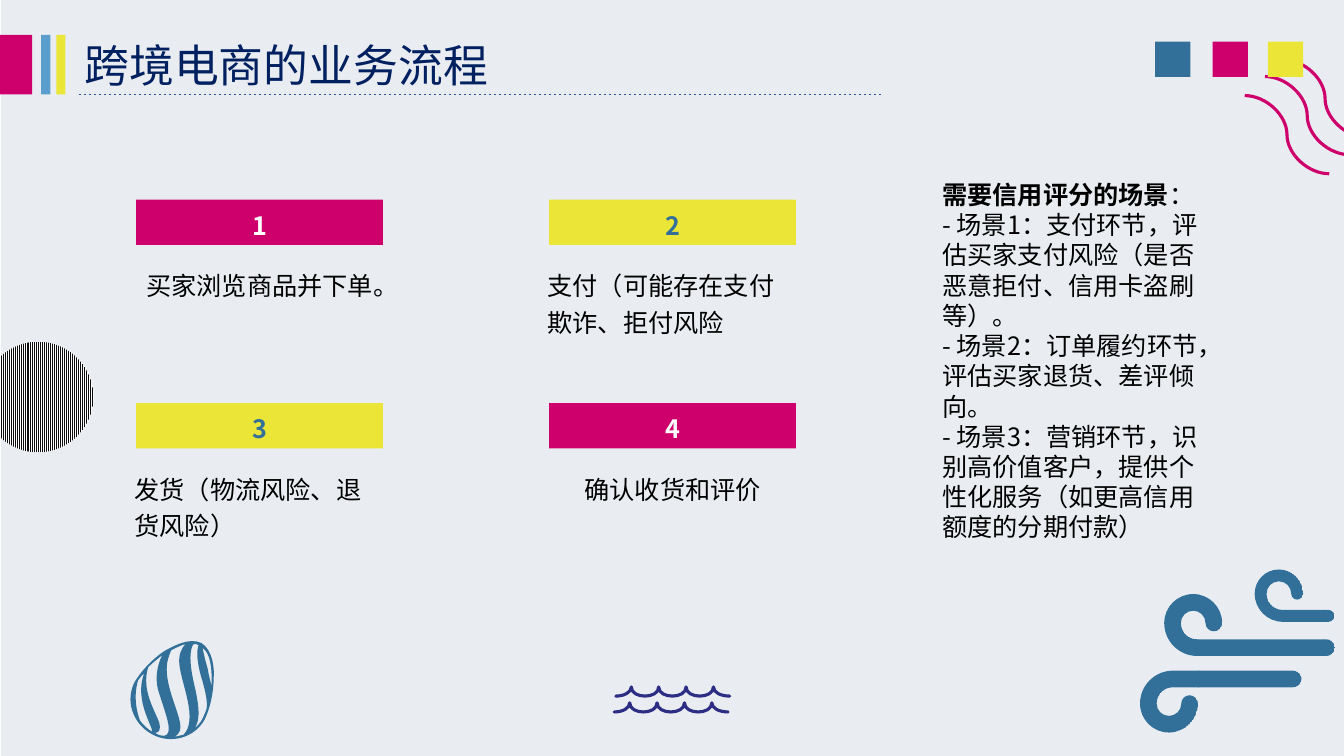
from dataclasses import dataclass
from math import cos, radians, sin, tan

from lxml import etree
from pptx import Presentation
from pptx.dml.color import RGBColor
from pptx.enum.dml import MSO_LINE, MSO_PATTERN
from pptx.enum.shapes import MSO_CONNECTOR, MSO_SHAPE
from pptx.enum.text import MSO_ANCHOR, MSO_AUTO_SIZE, PP_ALIGN
from pptx.oxml.ns import qn
from pptx.util import Cm, Pt

RECT, OVAL = MSO_SHAPE.RECTANGLE, MSO_SHAPE.OVAL
LINE, CURVE = MSO_CONNECTOR.STRAIGHT, MSO_CONNECTOR.CURVE
DARK, LIGHT = MSO_PATTERN.DARK_VERTICAL, MSO_PATTERN.LIGHT_VERTICAL
LEFT, MID = PP_ALIGN.LEFT, PP_ALIGN.CENTER
DASH = MSO_LINE.DASH


@dataclass(frozen=True)
class Theme:
    paper: str = "E9EDF2"
    white: str = "FFFFFF"
    black: str = "000000"
    ink: str = "0D0D0D"
    navy: str = "002060"
    rule: str = "2F5597"
    pink: str = "CE006C"
    sky: str = "599ECD"
    lime: str = "EAE536"
    teal: str = "32709A"
    wave: str = "2D2D83"
    font: str = "Noto Sans CJK JP"
    digit: str = "Noto Sans CJK SC"
    head: int = 32
    body: int = 18
    tight: float = 21.6
    loose: float = 25.8


T = Theme()

STEPS = [
    ("1", "买家浏览商品并下单。", T.pink, T.white, MID, 1.09),
    ("2", "支付（可能存在支付欺诈、拒付风险", T.lime, T.teal, LEFT, 2.03),
    ("3", "发货（物流风险、退货风险）", T.lime, T.teal, LEFT, 2.03),
    ("4", "确认收货和评价", T.pink, T.white, MID, 1.09),
]
SCENES = [
    [("需要信用评分的场景", True), ("：", False)],
    [("- 场景1：支付环节，评估买家支付风险（是否恶意拒付、信用卡盗刷等）。", False)],
    [("- 场景2：订单履约环节，评估买家退货、差评倾向。", False)],
    [("- 场景3：营销环节，识别高价值客户，提供个性化服务（如更高信用额度的分期付款）", False)],
]
SHELL = [
    [(100, 38), (88, 32), (72, 41), (63, 46), (51, 54), (40, 66), (34, 76),
     (24, 94), (31, 117), (50, 128), (69, 139), (93, 132), (103, 114),
     (108, 104), (112, 88), (112, 73), (113, 63), (111, 45), (100, 38)],
    [(39, 115), (36, 107), (32, 92), (37, 75), (39, 73), (40, 70), (43, 68),
     (33, 95), (52, 121), (51, 126), (46, 123), (42, 119), (39, 115)],
    [(63, 130), (60, 130), (56, 129), (54, 127), (57, 127), (60, 125), (58, 117),
     (54, 105), (40, 85), (47, 62), (51, 58), (56, 54), (61, 50),
     (56, 60), (53, 74), (58, 88), (66, 113), (72, 128), (63, 130)],
    [(82, 129), (79, 130), (76, 130), (73, 131), (77, 129), (81, 125), (78, 114),
     (74, 98), (61, 72), (67, 53), (68, 50), (69, 47), (70, 45),
     (76, 42), (80, 40), (84, 39), (80, 43), (77, 50), (78, 59),
     (80, 79), (97, 114), (82, 129)],
    [(101, 113), (99, 117), (96, 120), (93, 123), (99, 114), (98, 101), (92, 76),
     (88, 57), (88, 45), (92, 39), (94, 39), (96, 39), (97, 40),
     (95, 46), (95, 57), (101, 76), (104, 87), (106, 96), (105, 103),
     (104, 107), (102, 110), (101, 113)],
    [(106, 63), (103, 53), (102, 47), (101, 43), (106, 46), (110, 55), (110, 73),
     (110, 76), (110, 78), (110, 81), (109, 76), (107, 70), (106, 63)],
]


def rgb(hue):
    return RGBColor.from_string(hue)


def paint(fill, hue, weave=None):
    if weave is None:
        fill.solid()
    else:
        fill.patterned()
        fill.pattern = weave
        fill.back_color.rgb = rgb(T.white)
    fill.fore_color.rgb = rgb(hue)


def add_run(para, text, hue, size=T.body, bold=False, face=T.font):
    run = para.add_run()
    run.text = text
    font = run.font
    font.size, font.bold, font.name = Pt(size), bold, face
    font.color.rgb = rgb(hue)
    etree.SubElement(run._r.get_or_add_rPr(), qn("a:ea")).set("typeface", face)


def add_block(shapes, kind, x, y, wide, high, hue, weave=None):
    block = shapes.add_shape(kind, Cm(x), Cm(y), Cm(wide), Cm(high))
    block.shadow.inherit = False
    block.line.fill.background()
    paint(block.fill, hue, weave)
    return block


def add_text(shapes, x, y, wide, high, paras, space, align=LEFT):
    frame = shapes.add_textbox(Cm(x), Cm(y), Cm(wide), Cm(high)).text_frame
    frame.word_wrap = True
    for i, runs in enumerate(paras):
        para = frame.add_paragraph() if i else frame.paragraphs[0]
        para.alignment, para.line_spacing = align, Pt(space)
        for text, bold in runs:
            add_run(para, text, T.black, bold=bold)


def add_line(shapes, kind, x1, y1, x2, y2, hue, width):
    link = shapes.add_connector(kind, Cm(x1), Cm(y1), Cm(x2), Cm(y2))
    link.line.color.rgb = rgb(hue)
    link.line.width = Pt(width)
    etree.SubElement(link._element.spPr, qn("a:effectLst"))
    return link


def add_form(shapes, loops, close=True):
    loops = [[(x * 1000, y * 1000) for x, y in loop] for loop in loops]
    pen = shapes.build_freeform(*loops[0][0], scale=Cm(1) / 1000)
    for i, loop in enumerate(loops):
        if i:
            pen.move_to(*loop[0])
        pen.add_line_segments(loop[1:], close=close)
    form = pen.convert_to_shape()
    form.shadow.inherit = False
    lines = list(form._element.iter(qn("a:lnTo")))
    for i in range(0, len(lines), 3):
        curve = etree.Element(qn("a:cubicBezTo"))
        lines[i].addprevious(curve)
        for line in lines[i:i + 3]:
            curve.append(line[0])
            line.getparent().remove(line)
    return form


def add_step(shapes, index, step):
    mark, text, hue, tint, align, high = step
    x, y = 3.43 + index % 2 * 10.41, 5.03 + index // 2 * 5.13
    group = shapes.add_group_shape().shapes
    add_text(group, x - 0.29, y + 1.52, 6.81, high, [[(text, False)]], T.loose, align)
    frame = add_block(group, RECT, x, y, 6.22, 1.14, hue).text_frame
    frame.margin_top = frame.margin_bottom = 0
    frame.vertical_anchor = MSO_ANCHOR.MIDDLE
    para = frame.paragraphs[0]
    para.alignment, para.line_spacing = MID, 1.2
    add_run(para, mark, tint, bold=True, face=T.digit)


def set_title(title):
    title.left, title.top, title.width, title.height = Cm(1.98), Cm(0.86), Cm(11.25), Cm(1.52)
    frame = title.text_frame
    frame.auto_size = MSO_AUTO_SIZE.NONE
    frame.vertical_anchor = MSO_ANCHOR.MIDDLE
    frame.margin_left = frame.margin_right = Cm(0.15)
    frame.margin_top = frame.margin_bottom = Cm(0.08)
    frame.paragraphs[0].alignment = LEFT
    add_run(frame.paragraphs[0], "跨境电商的业务流程", T.navy, T.head)


def arc(x, y, size, start, end):
    count = abs(end - start) // 90
    turn = radians(end - start) / count
    pull = 4 / 3 * tan(turn / 4)
    points = []
    for i in range(count):
        a = radians(start) + i * turn
        b = a + turn
        spots = [(cos(a), sin(a)), (cos(a) - pull * sin(a), sin(a) + pull * cos(a)),
                 (cos(b) + pull * sin(b), sin(b) - pull * cos(b)), (cos(b), sin(b))]
        points += [(x + size * u, y + size * v) for u, v in spots[min(i, 1):]]
    return points


def gust(x, y, tip, hook, half, side):
    bend = hook + 0.1
    start, turn = (tip, bend + half), (x + 0.1, bend + half)
    path = [start, start, turn] + arc(x + 0.1, 0, bend + half, 90, 180)
    for piece in [(x, hook + half, 180, 360), (x + hook, half, 0, 180), (x, hook - half, 360, 180),
                  (x + 0.1, bend - half, 180, 90)]:
        path += arc(piece[0], 0, *piece[1:])[1:]
    path += [path[-1], (tip, bend - half)] + arc(tip, bend, half, -90, 90)
    return [(u, y + side * v) for u, v in path]


def ripple(x, y, pitch=0.69, dip=0.23):
    path = [(x - 0.39, y + dip), (x - 0.17, y + dip), (x, y + 0.13), (x, y)]
    for i in range(3):
        near, far = x + i * pitch, x + (i + 1) * pitch
        path += [(near, y + dip * 4 / 3), (far, y + dip * 4 / 3), (far, y)]
    end = x + 3 * pitch
    return path + [(end, y + 0.13), (end + 0.17, y + dip), (end + 0.41, y + dip)]


def add_shell(shapes, unit=0.0254):
    shell = add_form(shapes, [[(2.54 + unit * x, 15.24 + unit * y) for x, y in loop]
                              for loop in SHELL])
    shell.line.fill.background()
    paint(shell.fill, T.teal)


def add_waves(shapes):
    waves = add_form(shapes, [ripple(15.91, 17.31), ripple(15.87, 17.71)], False)
    waves.fill.background()
    waves.line.color.rgb = rgb(T.wave)
    waves.line.width = Pt(2.25)
    waves.line._get_or_add_ln().set("cap", "rnd")


def add_wind(shapes):
    wind = add_form(shapes, [gust(29.46, 17.73, 32.59, 0.52, 0.21, -1),
                             gust(30.07, 15.7, 33.43, 0.52, 0.21, 1),
                             gust(32.23, 14.96, 33.48, 0.46, 0.15, 1)])
    wind.line.fill.background()
    paint(wind.fill, T.teal, DARK)


def main():
    deck = Presentation()
    deck.slide_width, deck.slide_height = Cm(33.87), Cm(19.05)
    slide = deck.slides.add_slide(deck.slide_layouts[5])
    paint(slide.background.fill, T.paper, DARK)
    shapes = slide.shapes
    set_title(shapes.title)
    for x, wide, hue in [(0, 0.81, T.pink), (1.04, 0.23, T.sky), (1.42, 0.23, T.lime)]:
        add_block(shapes, RECT, x, 0.88, wide, 1.5, hue)
    for index, step in enumerate(STEPS):
        add_step(shapes, index, step)
    add_line(shapes, LINE, 1.98, 2.39, 22.25, 2.39, T.rule, 0.5).line.dash_style = DASH
    add_waves(shapes)
    add_block(shapes, OVAL, -0.43, 8.61, 2.79, 2.79, T.ink, LIGHT)
    for x, y in [(32.33, 1.5), (31.88, 1.93), (31.37, 2.41)]:
        add_line(shapes, CURVE, x + 2.13, y + 1.97, x, y, T.pink, 2.25)
    add_shell(shapes)
    add_wind(shapes)
    for x, hue in [(31.95, T.lime), (30.56, T.pink), (29.11, T.teal)]:
        add_block(shapes, RECT, x, 1.05, 0.89, 0.89, hue)
    add_text(shapes, 23.5, 4.39, 6.93, 9.5, SCENES, T.tight)
    deck.save("out.pptx")


if __name__ == "__main__":
    main()
